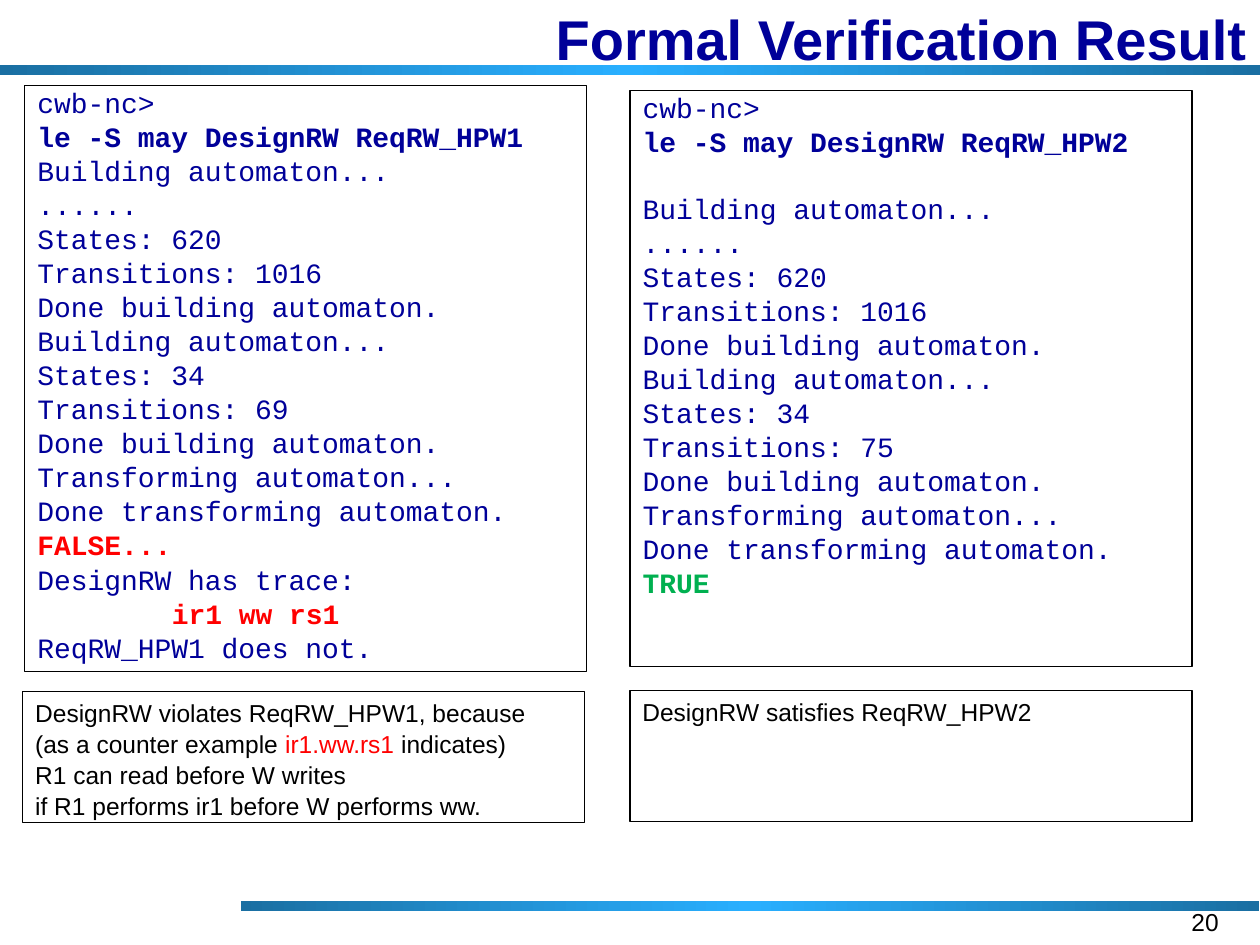
from copy import deepcopy

from pptx import Presentation
from pptx.dml.color import RGBColor
from pptx.enum.shapes import MSO_SHAPE
from pptx.enum.text import MSO_ANCHOR, MSO_AUTO_SIZE, PP_ALIGN
from pptx.oxml.ns import qn
from pptx.util import Cm, Pt

RECTANGLE = MSO_SHAPE.RECTANGLE
TOP, MIDDLE = MSO_ANCHOR.TOP, MSO_ANCHOR.MIDDLE
NO_FIT = MSO_AUTO_SIZE.NONE
LEFT, RIGHT = PP_ALIGN.LEFT, PP_ALIGN.RIGHT

COLORS = {"navy": "000099", "red": "FF0000", "green": "00B050",
          "black": "000000", "bar_dark": "1A6FA2", "bar_light": "29AFFF"}

TITLE = "Formal Verification Result"
PAGE_NUMBER = "20"
COMMAND = "le -S may DesignRW ReqRW_"


def build_log(transitions):
    return ["Building automaton...", "......", "States: 620",
            "Transitions: 1016", "Done building automaton.",
            "Building automaton...", "States: 34",
            f"Transitions: {transitions}", "Done building automaton.",
            "Transforming automaton...", "Done transforming automaton."]


# Console lines; those listed in "strong" are bold, in the given colour
CONSOLES = [
    {"lines": ["cwb-nc>", COMMAND + "HPW1", *build_log(69), "FALSE...",
               "DesignRW has trace:", "ir1 ww rs1", "ReqRW_HPW1 does not."],
     "strong": {COMMAND + "HPW1": "navy", "FALSE...": "red", "ir1 ww rs1": "red"},
     "indented": "ir1 ww rs1", "gap_before": None,
     "place": (0.5, 1.73, 11.33, 11.81)},
    {"lines": ["cwb-nc>", COMMAND + "HPW2", *build_log(75), "TRUE"],
     "strong": {COMMAND + "HPW2": "navy", "TRUE": "green"},
     "indented": None, "gap_before": 2,
     "place": (12.7, 1.83, 11.33, 11.61)},
]

# Each line is a list of (text, colour) spans
CONCLUSIONS = [
    {"lines": [[("DesignRW violates ReqRW_HPW1, because", "black")],
               [("(as a counter example ", "black"), ("ir1.ww.rs1", "red"),
                (" indicates)", "black")],
               [("R1 can read before W writes", "black")],
               [("if R1 performs ir1 before W performs ww.", "black")]],
     "place": (0.46, 13.94, 11.33, 2.64)},
    {"lines": [[("DesignRW satisfies ReqRW_HPW2", "black")]],
     "place": (12.7, 13.92, 11.33, 2.64)},
]

BARS = [(0, 1.32, 25.4, 0.2), (4.85, 18.16, 20.53, 0.2)]

LINE_GAP = Pt(4.1)
BLANK_LINE = Pt(18.6)
HANGING = Cm(0.95)
TRACE_INDENT = Cm(2.71)


def rgb(name):
    return RGBColor.from_string(COLORS[name])


def style(font, name, size, color, bold=False):
    font.name, font.size, font.bold = name, Pt(size), bold
    font.color.rgb = rgb(color)


def move(shape, place):
    shape.left, shape.top, shape.width, shape.height = map(Cm, place)


def outline(shape):
    shape.line.color.rgb = rgb("black")
    shape.line.width = Pt(0.75)


def paragraphs(frame, count):
    """Return the frame's first paragraph and as many new ones as needed."""
    return [frame.paragraphs[0]] + [frame.add_paragraph() for _ in range(count - 1)]


def add_bar(page, place):
    """Add a bar behind everything else, lightest in its middle."""
    bar = page.shapes.add_shape(RECTANGLE, *map(Cm, place))
    bar.shadow.inherit = False
    bar.line.fill.background()
    bar.fill.gradient()
    bar.fill.gradient_angle = 0
    stop_list = bar.element.spPr.find(qn("a:gradFill")).find(qn("a:gsLst"))
    stop_list.append(deepcopy(stop_list[0]))
    shades = [(0, "bar_dark"), (0.5, "bar_light"), (1, "bar_dark")]
    for stop, (position, color) in zip(bar.fill.gradient_stops, shades):
        stop.position = position
        stop.color.rgb = rgb(color)
    page.shapes._spTree.insert(2, bar.element)


def fill_console(body, console):
    move(body, console["place"])
    outline(body)
    frame = body.text_frame
    frame.auto_size, frame.vertical_anchor, frame.word_wrap = NO_FIT, TOP, True
    lines, strong = console["lines"], console["strong"]
    for number, (para, line) in enumerate(zip(paragraphs(frame, len(lines)), lines)):
        para.text = line
        para.alignment = LEFT
        para.line_spacing = 0.8
        skip = BLANK_LINE if number == console["gap_before"] else 0
        para.space_before = LINE_GAP + skip
        style(para.font, "Courier New", 16, strong.get(line, "navy"), line in strong)
        indented = line == console["indented"]
        properties = para._p.get_or_add_pPr()
        properties.set("marL", str(TRACE_INDENT if indented else HANGING))
        properties.set("indent", str(0 if indented else -HANGING))
        properties.insert_element_before(
            properties.makeelement(qn("a:buNone"), {}), "a:tabLst", "a:defRPr", "a:extLst")


def add_conclusion(page, conclusion):
    box = page.shapes.add_textbox(*map(Cm, conclusion["place"]))
    outline(box)
    box.text_frame.word_wrap = True
    lines = conclusion["lines"]
    for para, spans in zip(paragraphs(box.text_frame, len(lines)), lines):
        para.space_after = Pt(0.9)
        for text, color in spans:
            span = para.add_run()
            span.text = text
            style(span.font, "Arial", 14, color)


def main():
    deck = Presentation()
    deck.slide_width, deck.slide_height = Cm(25.4), Cm(19.05)
    page = deck.slides.add_slide(deck.slide_layouts.get_by_name("Two Content"))

    title, *bodies = page.placeholders
    move(title, (2.54, 0, 22.86, 1.52))
    title.text_frame.auto_size = NO_FIT
    title.text_frame.vertical_anchor = MIDDLE
    heading = title.text_frame.paragraphs[0]
    heading.text, heading.alignment = TITLE, RIGHT
    style(heading.font, "Arial", 32, "navy", True)

    for body, console in zip(bodies, CONSOLES):
        fill_console(body, console)
    for conclusion in CONCLUSIONS:
        add_conclusion(page, conclusion)
    for place in BARS:
        add_bar(page, place)

    number_box = page.shapes.add_textbox(Cm(18.9), Cm(18.16), Cm(5.92), Cm(0.89))
    number_box.text_frame.word_wrap = True
    number = number_box.text_frame.paragraphs[0]
    number.text, number.alignment = PAGE_NUMBER, RIGHT
    style(number.font, "Arial", 14, "black")

    deck.save("out.pptx")


if __name__ == "__main__":
    main()
